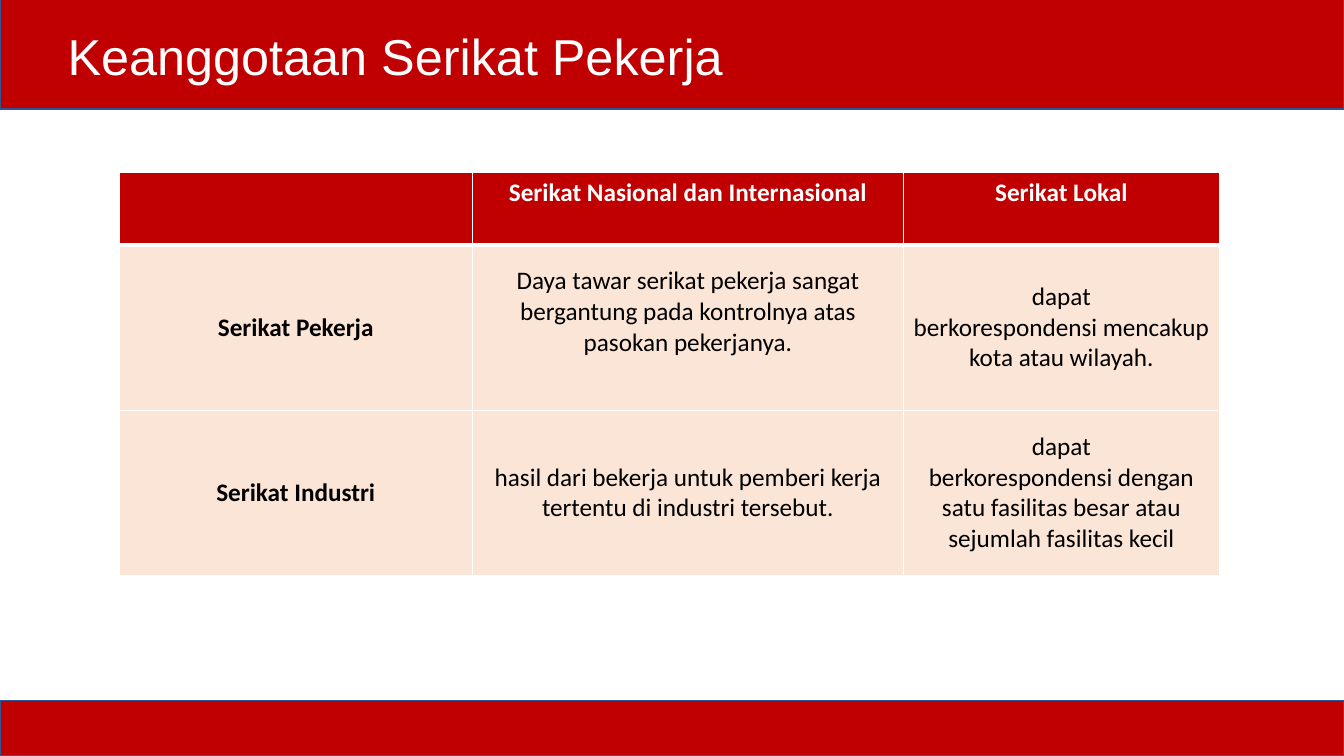
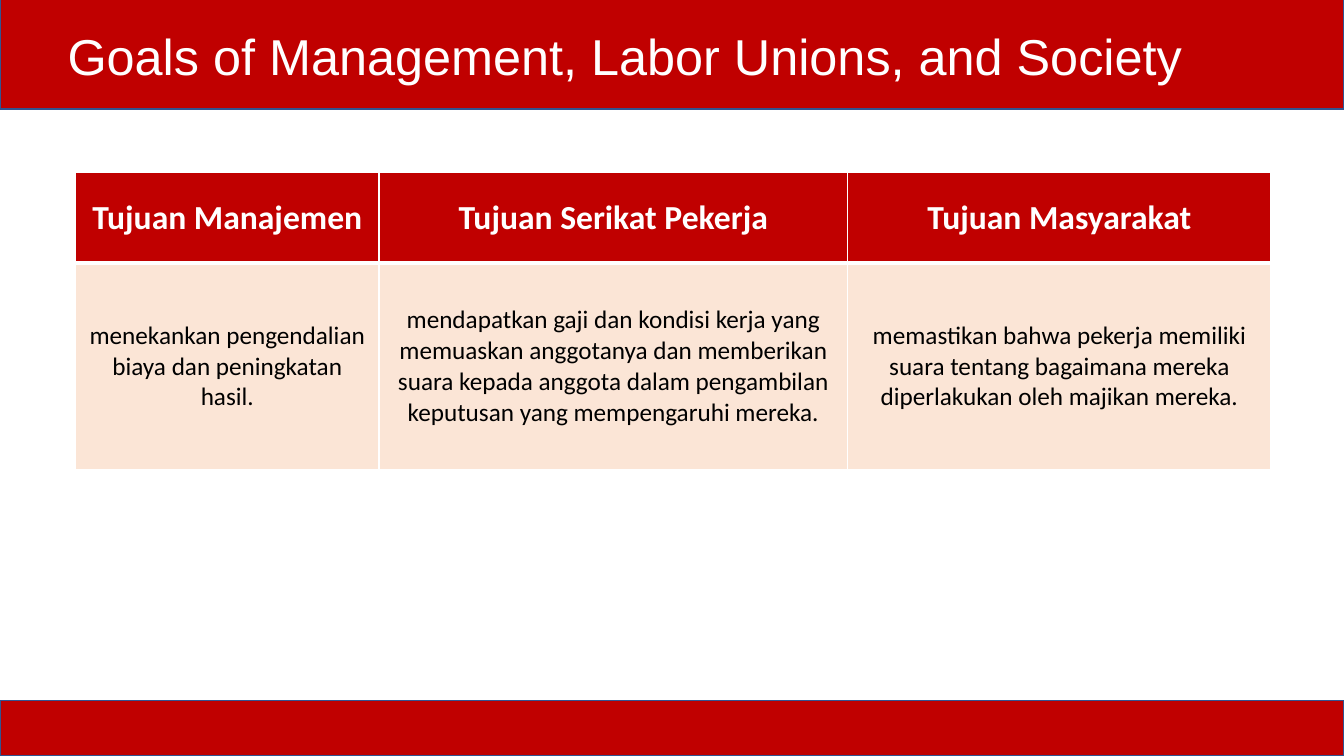
from dataclasses import dataclass

from lxml import etree
from pptx import Presentation
from pptx.dml.color import RGBColor
from pptx.enum.shapes import MSO_SHAPE
from pptx.enum.text import MSO_ANCHOR, MSO_AUTO_SIZE, PP_ALIGN
from pptx.oxml.ns import qn
from pptx.util import Inches, Pt

RECTANGLE = MSO_SHAPE.RECTANGLE
TOP, MIDDLE, BOTTOM = MSO_ANCHOR.TOP, MSO_ANCHOR.MIDDLE, MSO_ANCHOR.BOTTOM
LEFT, CENTER = PP_ALIGN.LEFT, PP_ALIGN.CENTER
NO_AUTOFIT = MSO_AUTO_SIZE.NONE
TITLE_ONLY = 5

# The slide is a grid of 160 columns by 90 rows
COLUMNS, ROWS = 160, 90
UNIT = Inches(1) / 12


@dataclass(frozen=True)
class Theme:
    red: str = "C00000"
    band_edge: str = "325491"
    peach: str = "FBE5D6"
    white: str = "FFFFFF"
    black: str = "000000"
    title_font: str = "Arial"
    table_font: str = "Calibri"
    title_size: int = 36
    heading_size: int = 24
    text_size: int = 18
    thin_rule: int = 1
    thick_rule: int = 3


@dataclass(frozen=True)
class Cell:
    text: str
    bold: bool = False
    bottom_inset: float = 0.6


def grid(*units):
    return [round(unit * UNIT) for unit in units]


def color(value):
    return RGBColor.from_string(value)


class Deck:
    """Holds the style and the slide being built."""

    def __init__(self, theme):
        self.theme = theme
        self.prs = Presentation()
        self.prs.slide_width, self.prs.slide_height = grid(COLUMNS, ROWS)
        self.slide = None

    def add_slide(self, title, title_width):
        layout = self.prs.slide_layouts[TITLE_ONLY]
        self.slide = self.prs.slides.add_slide(layout)
        self.band(-0.36, 13.32)
        self.band(83.4, 6.6)
        self.title(title, title_width)

    def band(self, top, height):
        band = self.slide.shapes.add_shape(
            RECTANGLE, *grid(0, top, COLUMNS, height))
        band.shadow.inherit = False
        band.fill.solid()
        band.fill.fore_color.rgb = color(self.theme.red)
        band.line.color.rgb = color(self.theme.band_edge)
        band.line.width = Pt(1)

    def title(self, text, width):
        title = self.slide.shapes.title
        title.left, title.top, title.width, title.height = grid(
            6.84, 2.28, width, 8.64)
        frame = title.text_frame
        frame.auto_size = NO_AUTOFIT
        frame.word_wrap = True
        frame.vertical_anchor = BOTTOM
        paragraph = frame.paragraphs[0]
        paragraph.alignment = LEFT
        paragraph.line_spacing = 0.9
        self.run(paragraph, text, self.theme.title_font,
                 self.theme.title_size, self.theme.white)
        # Bring the title in front of the bands
        title.element.getparent().append(title.element)

    def run(self, paragraph, text, font, size, ink, bold=False):
        run = paragraph.add_run()
        run.text = text
        run.font.name = font
        run.font.size = Pt(size)
        run.font.bold = bold
        run.font.color.rgb = color(ink)

    def table(self, left, widths, heights, rows, heading_size, heading_anchor):
        theme = self.theme
        table = self.slide.shapes.add_table(
            len(heights), len(widths),
            *grid(left, 20.52, sum(widths), sum(heights))).table
        table.first_row = table.horz_banding = False
        for column, width in zip(table.columns, grid(*widths)):
            column.width = width
        for row, height in zip(table.rows, grid(*heights)):
            row.height = height
        for r, contents in enumerate(rows):
            heading = r == 0
            for c, content in enumerate(contents):
                cell = table.cell(r, c)
                cell.vertical_anchor = heading_anchor if heading else MIDDLE
                cell.margin_bottom = grid(content.bottom_inset)[0]
                self.cell_text(
                    cell, content.text,
                    heading_size if heading else theme.text_size,
                    theme.white if heading else theme.black,
                    heading or content.bold)
                # Borders come before the fill in the cell properties
                self.cell_borders(
                    cell,
                    top=theme.thick_rule if r == 1 else theme.thin_rule,
                    bottom=theme.thick_rule if heading else theme.thin_rule)
                cell.fill.solid()
                cell.fill.fore_color.rgb = color(
                    theme.red if heading else theme.peach)

    def cell_text(self, cell, text, size, ink, bold):
        frame = cell.text_frame
        for i, line in enumerate(text.splitlines()):
            paragraph = frame.add_paragraph() if i else frame.paragraphs[0]
            paragraph.alignment = CENTER
            self.run(paragraph, line, self.theme.table_font, size, ink, bold)

    def cell_borders(self, cell, top, bottom):
        properties = cell._tc.get_or_add_tcPr()
        thin = self.theme.thin_rule
        for side, width in (("L", thin), ("R", thin), ("T", top), ("B", bottom)):
            border = etree.SubElement(
                properties, qn("a:ln" + side), w=str(Pt(width)))
            fill = etree.SubElement(border, qn("a:solidFill"))
            etree.SubElement(fill, qn("a:srgbClr"), val=self.theme.white)


def main():
    theme = Theme()
    deck = Deck(theme)

    # Union membership
    deck.add_slide("Keanggotaan Serikat Pekerja", 133.08)
    membership = [
        [Cell(""), Cell("Serikat Nasional dan Internasional"),
         Cell("Serikat Lokal")],
        [Cell("Serikat Pekerja", bold=True),
         Cell("Daya tawar serikat pekerja sangat bergantung pada kontrolnya atas\n"
              "pasokan pekerjanya.", bottom_inset=4.3),
         Cell("dapat\nberkorespondensi mencakup kota atau wilayah.")],
        [Cell("Serikat Industri", bold=True),
         Cell("hasil dari bekerja untuk pemberi kerja tertentu di industri tersebut."),
         Cell("dapat\nberkorespondensi dengan satu fasilitas besar atau "
              "sejumlah fasilitas kecil")],
    ]
    deck.table(14.16, [42.12, 51.24, 37.68], [8.64, 19.68, 19.68],
               membership, theme.text_size, TOP)

    # Goals of the three parties
    deck.add_slide("Goals of Management, Labor Unions, and Society", 147.6)
    goals = [
        [Cell("Tujuan Manajemen"), Cell("Tujuan Serikat Pekerja"),
         Cell("Tujuan Masyarakat")],
        [Cell("menekankan pengendalian biaya dan peningkatan hasil."),
         Cell("mendapatkan gaji dan kondisi kerja yang memuaskan anggotanya dan "
              "memberikan suara kepada anggota dalam pengambilan keputusan yang "
              "mempengaruhi mereka."),
         Cell("memastikan bahwa pekerja memiliki\n"
              "suara tentang bagaimana mereka diperlakukan oleh majikan mereka.")],
    ]
    deck.table(9, [36.12, 55.8, 50.4], [10.8, 24.6],
               goals, theme.heading_size, MIDDLE)

    deck.prs.save("out.pptx")


if __name__ == "__main__":
    main()
